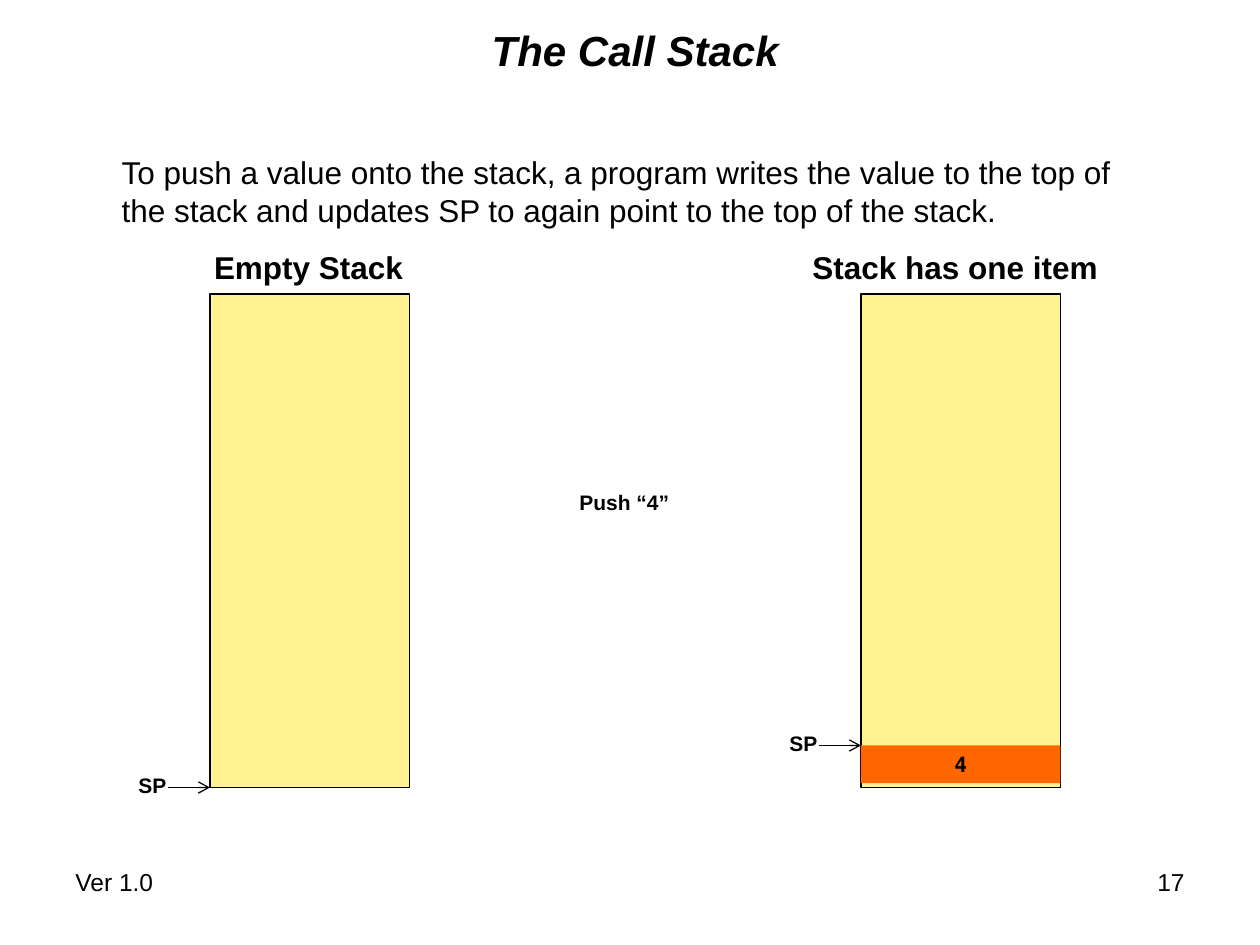
"""Build the slide that shows a value being pushed onto the call stack."""
from lxml.etree import SubElement
from pptx import Presentation
from pptx.dml.color import RGBColor
from pptx.enum.shapes import MSO_CONNECTOR, MSO_SHAPE
from pptx.enum.text import MSO_ANCHOR, MSO_AUTO_SIZE, PP_ALIGN
from pptx.oxml.ns import qn
from pptx.util import Inches, Pt

BLACK = RGBColor(0x00, 0x00, 0x00)
WHITE = RGBColor(0xFF, 0xFF, 0xFF)
YELLOW = RGBColor(0xFF, 0xF3, 0x91)
ORANGE = RGBColor(0xFF, 0x66, 0x00)

prs = Presentation()
prs.slide_width, prs.slide_height = Inches(10), Inches(7.5)
COL, ROW = prs.slide_width / 120, prs.slide_height / 90
s = prs.slides.add_slide(prs.slide_layouts[5])
s.background.fill.solid()
s.background.fill.fore_color.rgb = WHITE


def grid(col, row, cols, rows):
    return int(col * COL), int(row * ROW), int(cols * COL), int(rows * ROW)


def write(tf, lines, size, bold=False, italic=False, align=PP_ALIGN.LEFT, font="Arial"):
    for i, line in enumerate(lines):
        p = tf.paragraphs[0] if i == 0 else tf.add_paragraph()
        p.alignment = align
        r = p.add_run()
        r.text = line
        r.font.name, r.font.size = font, Pt(size)
        r.font.bold, r.font.italic = bold, italic
        r.font.color.rgb = BLACK


title = s.shapes.title
title.left, title.top, title.width, title.height = grid(12, 2, 97, 5.4)
tf = title.text_frame
tf.margin_left = tf.margin_right = tf.margin_top = tf.margin_bottom = 0
tf.vertical_anchor = MSO_ANCHOR.MIDDLE
tf.auto_size = MSO_AUTO_SIZE.NONE
write(tf, ["The Call Stack"], 24, True, True, PP_ALIGN.CENTER)

for col, text, align in ((6, "Ver 1.0", PP_ALIGN.LEFT), (86, "17", PP_ALIGN.RIGHT)):
    sp = s.shapes.add_textbox(*grid(col, 82, 28, 6.2))
    sp.text_frame.word_wrap = True
    write(sp.text_frame, [text], 14, align=align)

STACK_COLS = (20, 82)
for place, color, edge in (
    ((STACK_COLS[0], 28, 19, 47), YELLOW, True),
    ((STACK_COLS[1], 28, 19, 47), YELLOW, True),
    ((STACK_COLS[1], 71, 19, 3.6), ORANGE, False),
):
    sp = s.shapes.add_shape(MSO_SHAPE.RECTANGLE, *grid(*place))
    sp.shadow.inherit = False
    sp.fill.solid()
    sp.fill.fore_color.rgb = color
    if edge:
        sp.line.color.rgb, sp.line.width = BLACK, Pt(0.75)
    else:
        sp.line.fill.background()
        write(sp.text_frame, ["4"], 12, True, align=PP_ALIGN.CENTER, font="DejaVu Sans Mono")

for place, lines, size, bold in (
    ((10.4, 14, 97, 8.4), ["To push a value onto the stack, a program writes the value to the top of",
                           "the stack and updates SP to again point to the top of the stack."], 18, False),
    ((19.2, 23, 20.8, 4.8), ["Empty Stack"], 18, True),
    ((76.2, 23, 30, 4.8), ["Stack has one item"], 18, True),
    ((54, 46, 11.4, 3.6), ["Push “4”"], 12, True),
    ((STACK_COLS[0] - 8, 73, 5.4, 3.6), ["SP"], 12, True),
    ((STACK_COLS[1] - 8, 69, 5.4, 3.6), ["SP"], 12, True),
):
    sp = s.shapes.add_textbox(*grid(*place))
    sp.text_frame.word_wrap = False
    sp.text_frame.auto_size = MSO_AUTO_SIZE.NONE
    write(sp.text_frame, lines, size, bold)

for col, row in zip(STACK_COLS, (75, 71)):
    x, y, length, _ = grid(col - 4, row, 4, 0)
    arrow = s.shapes.add_connector(MSO_CONNECTOR.STRAIGHT, x, y, x + length, y)
    arrow.line.color.rgb, arrow.line.width = BLACK, Pt(0.75)
    props = arrow._element.spPr
    SubElement(props.get_or_add_ln(), qn("a:tailEnd"), type="arrow")
    SubElement(props, qn("a:effectLst"))

prs.save("out.pptx")
